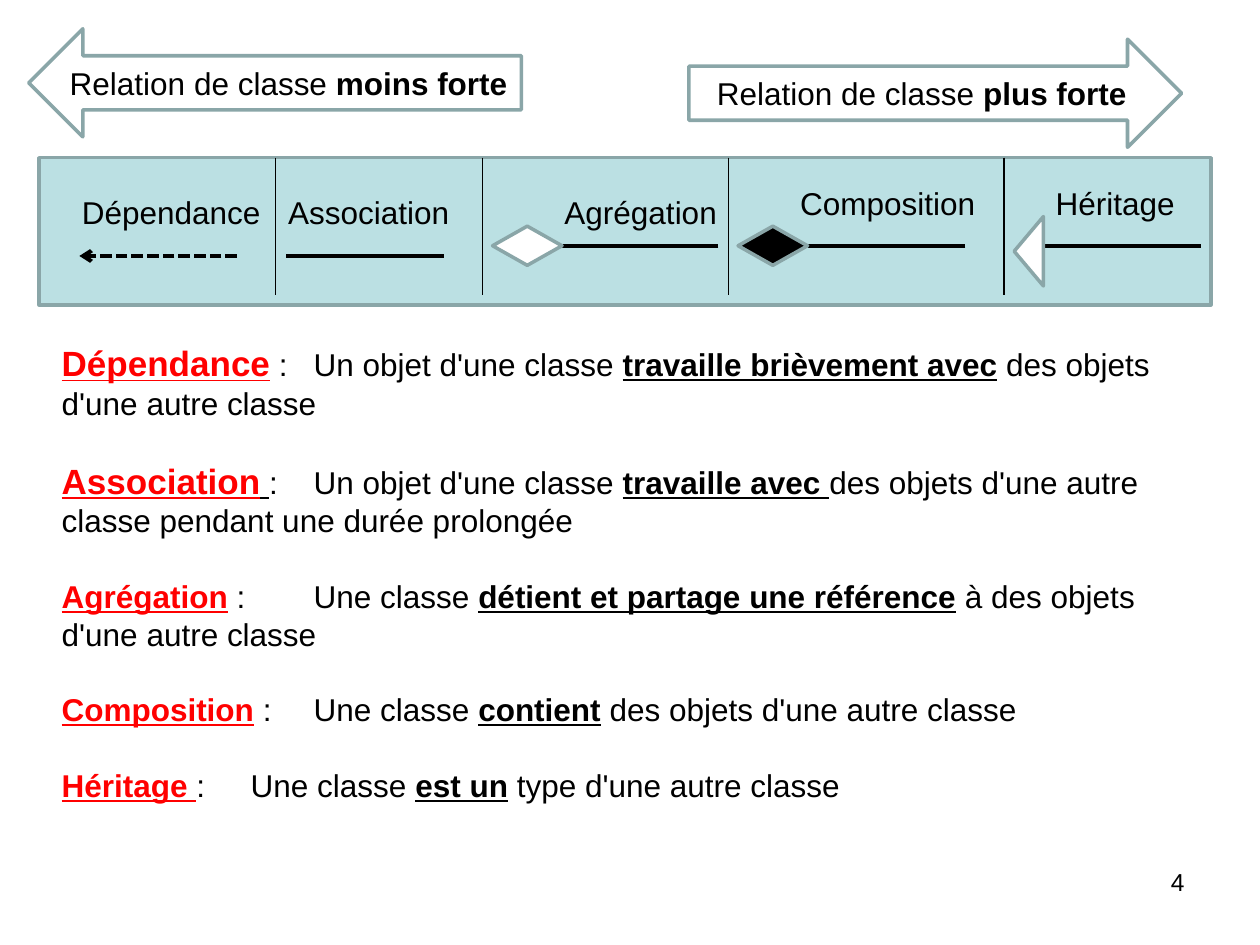
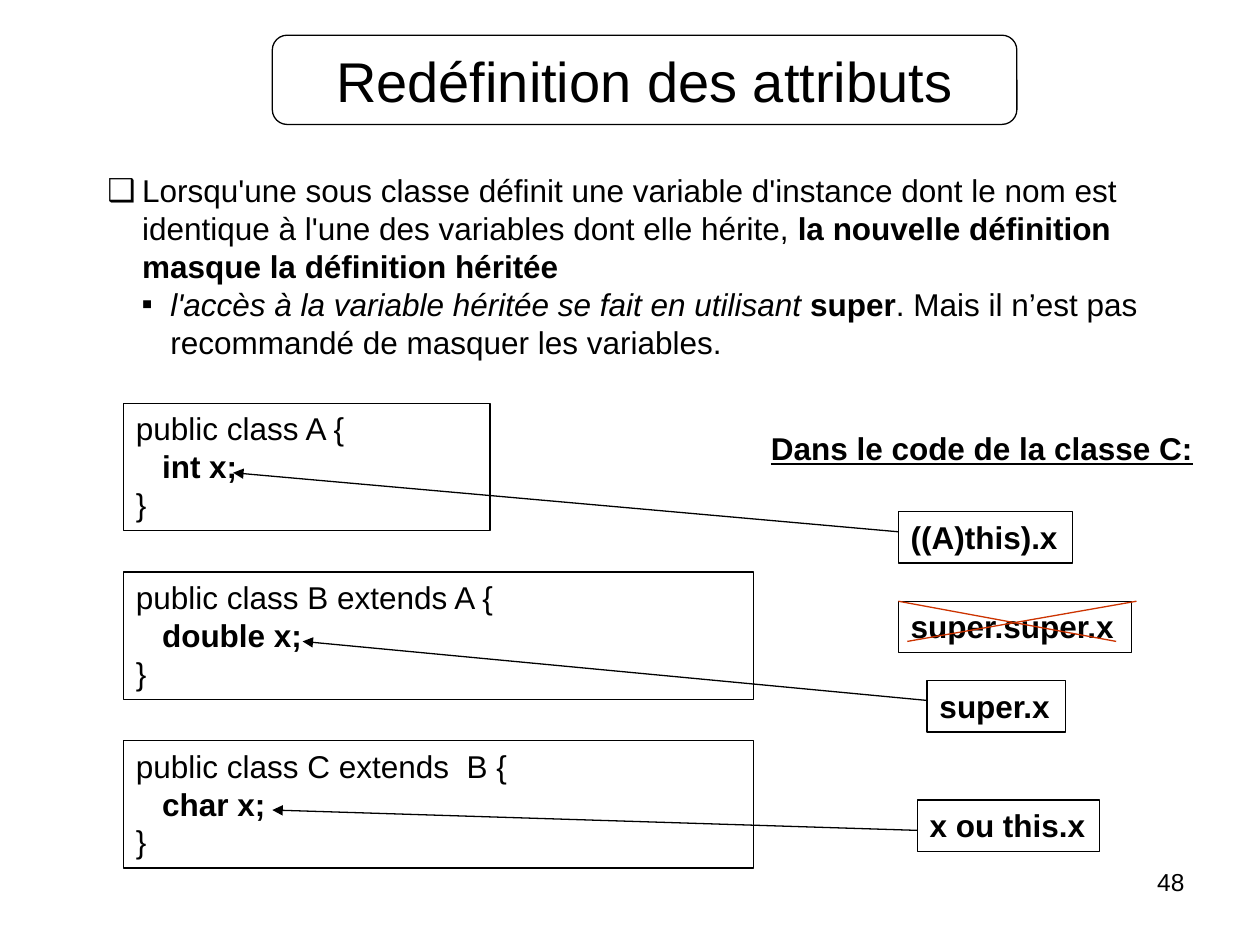
from dataclasses import dataclass

from lxml import etree
from pptx import Presentation
from pptx import util as u
from pptx.dml.color import RGBColor
from pptx.enum import dml, shapes, text
from pptx.oxml import ns

Cm, Pt = u.Cm, u.Pt
SHAPE = shapes.MSO_SHAPE


@dataclass(frozen=True)
class Theme:
    font: str = "Arial"
    ink: RGBColor = RGBColor(0, 0, 0)
    paper: RGBColor = RGBColor(255, 255, 255)
    term: RGBColor = RGBColor(255, 0, 0)
    band: RGBColor = RGBColor(0xBB, 0xE0, 0xE3)
    outline: RGBColor = RGBColor(0x8A, 0xA6, 0xA8)
    strike: RGBColor = RGBColor(0xCC, 0x33, 0)
    title_size: float = 32
    term_size: float = 20
    body_size: float = 18
    number_size: float = 14
    thin: float = 0.75
    medium: float = 2
    thick: float = 2.25


THEME = Theme()
BOLD = {"bold": True}
ITALIC = {"italic": True}
STRONG = {"bold": True, "underline": True}
TERM = STRONG | {"color": THEME.term}
BIG_TERM = TERM | {"size": THEME.term_size}


def add_xml(parent, tag, **attributes):
    return etree.SubElement(parent, ns.qn(tag), attributes)


class Deck:
    def __init__(self, theme):
        self.theme = theme
        self.presentation = Presentation()
        self.presentation.slide_width = Cm(25.4)
        self.presentation.slide_height = Cm(19.05)
        self.slide = None

    def new_slide(self, number):
        layout = self.presentation.slide_layouts[1]
        self.slide = self.presentation.slides.add_slide(layout)
        self.text_box((18.21, 17.35, 5.92, 1.32), [[number]],
                      {"size": self.theme.number_size}, text.PP_ALIGN.RIGHT)

    def place(self, shape, box):
        for name, value in zip(("left", "top", "width", "height"), box):
            setattr(shape, name, Cm(value))

    def format_font(self, font, style):
        values = {"name": self.theme.font, "size": self.theme.body_size,
                  "color": self.theme.ink, "bold": False} | style
        for name, value in values.items():
            if name == "color":
                font.color.rgb = value
            else:
                setattr(font, name, Pt(value) if name == "size" else value)

    def add_runs(self, paragraph, runs, style=None):
        """Add runs, each a string or a (string, style) pair."""
        for item in runs:
            words, extra = (item, {}) if isinstance(item, str) else item
            run = paragraph.add_run()
            run.text = words
            self.format_font(run.font, (style or {}) | extra)

    def fill_frame(self, shape, paragraphs, style=None, align=text.PP_ALIGN.LEFT,
                   anchor=text.MSO_ANCHOR.TOP, wrap=True):
        frame = shape.text_frame
        values = {"word_wrap": wrap, "vertical_anchor": anchor,
                  "auto_size": text.MSO_AUTO_SIZE.NONE}
        for name, value in values.items():
            setattr(frame, name, value)
        for index, runs in enumerate(paragraphs):
            paragraph = frame.add_paragraph() if index else frame.paragraphs[0]
            paragraph.alignment = align
            self.add_runs(paragraph, runs, style)

    def title(self, words, box):
        title = self.slide.shapes.title
        self.place(title, box)
        self.fill_frame(title, [[words]], {"size": self.theme.title_size},
                        text.PP_ALIGN.CENTER, text.MSO_ANCHOR.MIDDLE)

    def remove_title(self):
        element = self.slide.shapes.title.element
        element.getparent().remove(element)

    def body(self, box, paragraphs, bullets=None, tab=None, gap=0):
        """Fill the body; a bullet is (symbol, left margin, hanging indent)."""
        body = self.slide.placeholders[1]
        self.place(body, box)
        self.fill_frame(body, paragraphs)
        for index, paragraph in enumerate(body.text_frame.paragraphs):
            properties = paragraph._p.get_or_add_pPr()
            symbol, margin, hang = bullets[index] if bullets else (None, 0, 0)
            properties.set("marL", str(Cm(margin)))
            properties.set("indent", str(-Cm(hang)))
            if symbol:
                add_xml(properties, "a:buChar", char=symbol)
            else:
                add_xml(properties, "a:buNone")
            if tab:
                stops = add_xml(properties, "a:tabLst")
                add_xml(stops, "a:tab", pos=str(Cm(tab)), algn="l")
            paragraph.space_before = Pt(gap if index else 0)

    def text_box(self, box, paragraphs, style=None, align=text.PP_ALIGN.LEFT):
        shape = self.slide.shapes.add_textbox(*map(Cm, box))
        self.fill_frame(shape, paragraphs, style, align)

    def shape(self, kind, box, fill=None, line=None, width=None, rotation=0):
        shape = self.slide.shapes.add_shape(kind, *map(Cm, box))
        shape.shadow.inherit = False
        shape.rotation = rotation
        if fill is None:
            shape.fill.background()
        else:
            shape.fill.solid()
            shape.fill.fore_color.rgb = fill
        shape.line.color.rgb = line or self.theme.ink
        shape.line.width = Pt(width or self.theme.thin)
        return shape

    def outlined(self, kind, box, fill=None, rotation=0):
        return self.shape(kind, box, fill, self.theme.outline,
                          self.theme.medium, rotation)

    def line(self, start, end, color=None, width=None, dash=None, head=None):
        connector = self.slide.shapes.add_connector(
            shapes.MSO_CONNECTOR.STRAIGHT, *map(Cm, start + end))
        connector.line.color.rgb = color or self.theme.ink
        connector.line.width = Pt(width or self.theme.thin)
        if dash:
            connector.line.dash_style = dash
        if head:
            add_xml(connector.line._get_or_add_ln(), "a:tailEnd", type=head)
        add_xml(connector._element.spPr, "a:effectLst")


def build_relations(deck):
    theme = deck.theme
    deck.new_slide("4")
    deck.remove_title()

    band_top = 3.18
    deck.outlined(SHAPE.RECTANGLE, (0.79, band_top, 23.62, 2.97), theme.band)
    for x in (5.56, 9.73, 14.68, 20.24):
        deck.line((x, band_top), (x, 5.94))

    # name, label left, label top, label width, line left, line height
    relations = [
        ("Dépendance", 1.4, 3.76, 4.37, 1.6, 5.16),
        ("Association", 5.56, 3.76, 3.96, 5.77, 5.16),
        ("Agrégation", 11.13, 3.76, 3.76, 11.3, 4.95),
        ("Composition", 15.88, 3.58, 4.17, 16.28, 4.95),
        ("Héritage", 21.03, 3.58, 3.18, 21.03, 4.95),
    ]
    for name, left, top, width, line_left, y in relations:
        deck.text_box((left, top, width, 1.02), [[name]])
        dependency = {"dash": dml.MSO_LINE.SQUARE_DOT, "head": "arrow"}
        deck.line((line_left + 3.18, y), (line_left, y), width=theme.thick,
                  **(dependency if name == "Dépendance" else {}))
    for left, fill in ((9.93, theme.paper), (14.88, theme.ink)):
        deck.outlined(SHAPE.FLOWCHART_DECISION, (left, 4.56, 1.4, 0.79), fill)
    deck.outlined(SHAPE.ISOSCELES_TRIANGLE, (20.04, 4.77, 1.4, 0.59),
                  theme.paper, rotation=270)

    arrows = [(SHAPE.LEFT_ARROW, 0.58, 0.58, "moins forte"),
              (SHAPE.RIGHT_ARROW, 13.89, 0.79, "plus forte")]
    for kind, left, top, strength in arrows:
        arrow = deck.outlined(kind, (left, top, 9.93, 2.18))
        deck.fill_frame(arrow, [["Relation de classe ", (strength, BOLD)]],
                        align=text.PP_ALIGN.CENTER,
                        anchor=text.MSO_ANCHOR.MIDDLE, wrap=False)

    definitions = [
        [("Dépendance", BIG_TERM), " : \tUn objet d'une classe ",
         ("travaille brièvement avec", STRONG), " des objets d'une autre classe"],
        [("Association", BIG_TERM), (" ", {"underline": True}),
         ": \tUn objet d'une classe ", ("travaille avec ", STRONG),
         "des objets d'une autre classe pendant une durée prolongée"],
        [("Agrégation", TERM), " : \tUne classe ",
         ("détient et partage une référence", STRONG),
         " à des objets d'une autre classe"],
        [("Composition", TERM), " : \tUne classe ", ("contient", STRONG),
         " des objets d'une autre classe"],
        [("Héritage ", TERM), ": \tUne classe ", ("est un", STRONG),
         " type d'une autre classe"],
    ]
    deck.body((0.99, 6.76, 23.01, 9.65), definitions, tab=5.08, gap=21.6)


def build_attributes(deck):
    deck.new_slide("48")
    title_box = (5.49, 0.71, 15.01, 1.8)
    deck.shape(SHAPE.ROUNDED_RECTANGLE, title_box)
    deck.title("Redéfinition des attributs", title_box)
    deck.body((1.91, 3.33, 22, 4.06), [
        ["Lorsqu'une sous classe définit une variable d'instance dont le nom est "
         "identique à l'une des variables dont elle hérite, ",
         ("la nouvelle définition masque la définition héritée", BOLD)],
        [("l'accès à la variable héritée se fait en utilisant ", ITALIC),
         ("super", BOLD),
         ". Mais il n’est pas recommandé de masquer les variables."],
    ], bullets=[("❑", 0.7, 0.7), ("▪", 1.27, 0.58)])

    classes = [("public class A {", "   int x;", 7.39),
               ("public class B extends A {", "   double x;", 12.7),
               ("public class C extends  B {", "   char x;", 12.7)]
    for index, (header, field, width) in enumerate(classes):
        box = deck.shape(SHAPE.RECTANGLE, (2.49, 8.13 + 3.4 * index, width, 2.57))
        deck.fill_frame(box, [[header], [(field, BOLD)], ["}"]])

    deck.text_box((15.29, 8.53, 9.19, 1.02),
                  [[("Dans le code de la classe C:", STRONG)]])
    accesses = [("((A)this).x", 18.11, 10.31, 3.51),
                ("super.super.x", 18.11, 12.12, 4.7),
                ("super.x", 18.69, 13.72, 2.79),
                ("x ou this.x", 18.49, 16.13, 3.68)]
    for code, left, top, width in accesses:
        box = deck.shape(SHAPE.RECTANGLE, (left, top, width, 1.04))
        deck.fill_frame(box, [[code]], BOLD, wrap=False)

    for start, end in (((18.29, 12.93), (22.91, 12.12)),
                       ((18.11, 12.12), (22.5, 12.93))):
        deck.line(start, end, deck.theme.strike)
    for start, end in (((18.11, 10.72), (4.7, 9.53)),
                       ((18.69, 14.12), (6.1, 12.93)),
                       ((18.49, 16.74), (5.49, 16.33))):
        deck.line(start, end, head="triangle")


def main():
    deck = Deck(THEME)
    build_relations(deck)
    build_attributes(deck)
    deck.presentation.save("out.pptx")


if __name__ == "__main__":
    main()
